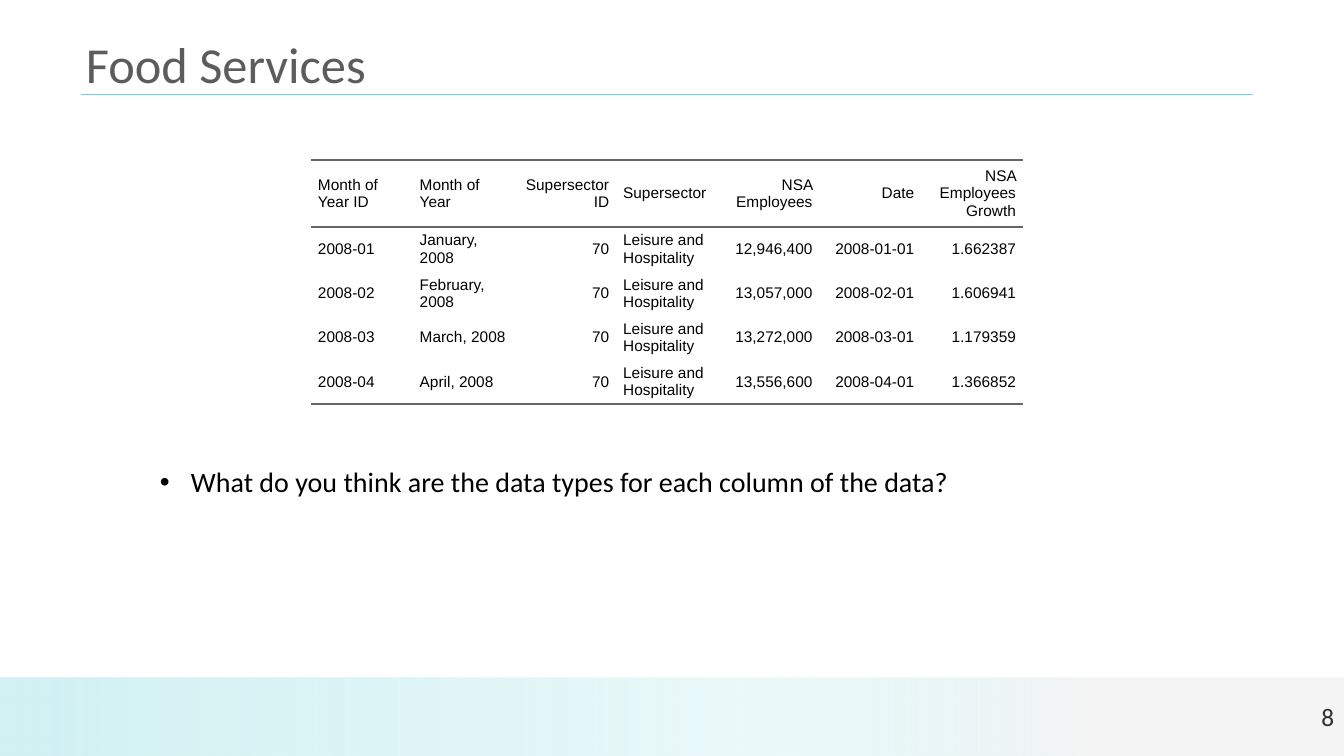
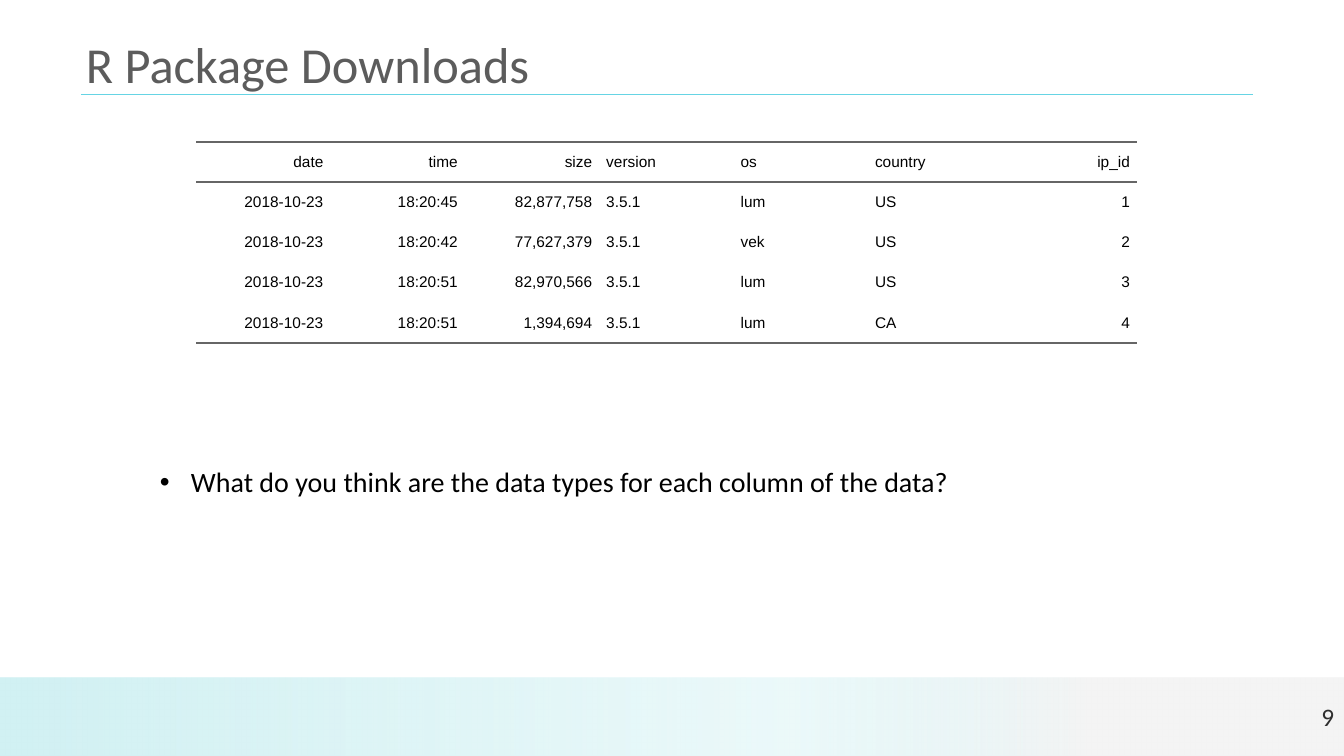
"""Build two slides that show sample data tables and ask about their data types."""
import pptx
import pptx.dml.color
import pptx.enum.shapes
import pptx.enum.text
import pptx.oxml
import pptx.oxml.ns
import pptx.util
from lxml import etree

RGBColor = pptx.dml.color.RGBColor
ALIGN = pptx.enum.text.PP_ALIGN
ANCHOR = pptx.enum.text.MSO_ANCHOR

PX = 914400 / 100.8
SLIDE_W, SLIDE_H = 1344, 756
BAND_TOP = 678
RULE_Y = 94

TITLE_GREY = RGBColor(0x5C, 0x5C, 0x5C)
NUMBER_GREY = RGBColor(0x2F, 0x2F, 0x2F)
RULE_CYAN = RGBColor(0x66, 0xD4, 0xE4)
TABLE_GREY = RGBColor(0x66, 0x66, 0x66)
BAND_CYAN = RGBColor(0xD1, 0xF1, 0xF3)
BAND_GREY = RGBColor(0xF4, 0xF4, 0xF4)
BLACK = RGBColor(0, 0, 0)

BAND_STOPS = [(0, BAND_CYAN, 100), (59, BAND_CYAN, 41), (81, BAND_GREY, 100),
              (83, BAND_GREY, 100), (92, BAND_GREY, 100), (100, BAND_GREY, 100)]
PLAIN_TABLE_STYLE = "{2D5ABB26-0587-4C30-8999-92F81FD0307C}"
QUESTION = "What do you think are the data types for each column of the data?"

FOOD_HEADER = ["Month of Year ID", "Month of Year", "Supersector ID", "Supersector",
               "NSA Employees", "Date", "NSA Employees Growth"]
FOOD_MONTHS = [
    ("2008-01", "January, 2008", "12,946,400", "1.662387"),
    ("2008-02", "February, 2008", "13,057,000", "1.606941"),
    ("2008-03", "March, 2008", "13,272,000", "1.179359"),
    ("2008-04", "April, 2008", "13,556,600", "1.366852"),
]
FOOD_ROWS = [FOOD_HEADER] + [
    [month_id, month, "70", "Leisure and Hospitality", employees, f"{month_id}-01", growth]
    for month_id, month, employees, growth in FOOD_MONTHS
]
DOWNLOAD_ROWS = [
    ["date", "time", "size", "version", "os", "country", "ip_id"],
    ["2018-10-23", "18:20:45", "82,877,758", "3.5.1", "lum", "US", "1"],
    ["2018-10-23", "18:20:42", "77,627,379", "3.5.1", "vek", "US", "2"],
    ["2018-10-23", "18:20:51", "82,970,566", "3.5.1", "lum", "US", "3"],
    ["2018-10-23", "18:20:51", "1,394,694", "3.5.1", "lum", "CA", "4"],
]


def px(length):
    """Turn pixels into EMU."""
    return pptx.util.Emu(round(length * PX))


def add_xml(parent, tag, **attributes):
    """Append a DrawingML child element."""
    return etree.SubElement(parent, pptx.oxml.ns.qn(f"a:{tag}"), attributes)


def style_paragraph(paragraph, text, font_name, size, color, align=ALIGN.LEFT):
    """Write one paragraph in a single font."""
    paragraph.text = text
    paragraph.alignment = align
    paragraph.font.name = font_name
    paragraph.font.size = pptx.util.Pt(size)
    paragraph.font.color.rgb = color


def add_text(slide, box, text, size, color, align=ALIGN.LEFT, anchor=ANCHOR.TOP):
    """Add a wrapped text box and return its paragraph."""
    frame = slide.shapes.add_textbox(*map(px, box)).text_frame
    frame.word_wrap = True
    frame.vertical_anchor = anchor
    paragraph = frame.paragraphs[0]
    style_paragraph(paragraph, text, "Calibri", size, color, align)
    return paragraph


def add_band(slide):
    """Add the gradient band along the bottom edge."""
    band = slide.shapes.add_shape(
        pptx.enum.shapes.MSO_SHAPE.RECTANGLE,
        0, px(BAND_TOP), px(SLIDE_W), px(SLIDE_H - BAND_TOP))
    band.shadow.inherit = False
    band.line.fill.background()
    band.fill.gradient()
    band.fill.gradient_angle = 0
    stops = band.fill.gradient_stops._gsLst
    for stop in list(stops):
        stops.remove(stop)
    for position, color, opacity in BAND_STOPS:
        stop = add_xml(stops, "gs", pos=str(position * 1000))
        tint = add_xml(stop, "srgbClr", val=str(color))
        if opacity < 100:
            add_xml(tint, "alpha", val=str(opacity * 1000))


def add_title_rule(slide):
    """Add the thin line under the title."""
    rule = slide.shapes.add_connector(
        pptx.enum.shapes.MSO_CONNECTOR.STRAIGHT, px(81), px(RULE_Y), px(1253), px(RULE_Y))
    rule.line.color.rgb = RULE_CYAN
    rule.line.width = pptx.util.Pt(0.5)
    add_xml(rule._element.spPr, "effectLst")
    rule._element.remove(rule._element.find(pptx.oxml.ns.qn("p:style")))


def add_question(slide):
    """Add the bulleted question."""
    question = add_text(slide, (150, 460, 1177, 109), QUESTION, 20, BLACK)
    properties = question._p.get_or_add_pPr()
    indent = px(31)
    properties.set("marL", str(indent))
    properties.set("indent", str(-indent))
    for tag, attribute in (("buFont", 'typeface="Arial"'), ("buChar", 'char="•"')):
        bullet = pptx.oxml.parse_xml(
            f'<a:{tag} {pptx.oxml.ns.nsdecls("a")} {attribute}/>')
        properties.insert_element_before(bullet, "a:tabLst", "a:defRPr", "a:extLst")


def add_borders(cell, ruled_sides):
    """Draw grey rules on the given sides of a cell and none on the others."""
    for side in ("lnL", "lnR", "lnT", "lnB"):
        ruled = side in ruled_sides
        width = pptx.util.Pt(2) if ruled else 0
        border = add_xml(cell._tc.get_or_add_tcPr(), side, w=str(width))
        if ruled:
            add_xml(add_xml(border, "solidFill"), "srgbClr", val=str(TABLE_GREY))
        else:
            add_xml(border, "noFill")


def fill_cell(cell, text, align):
    """Write a table cell with inset text and no fill."""
    cell.margin_left = cell.margin_right = cell.margin_top = cell.margin_bottom = 0
    cell.vertical_anchor = ANCHOR.MIDDLE
    cell.fill.background()
    paragraph = cell.text_frame.paragraphs[0]
    style_paragraph(paragraph, text, "Arial", 11, BLACK, align)
    paragraph.space_before = paragraph.space_after = pptx.util.Pt(5)
    for margin in ("marL", "marR"):
        paragraph._p.get_or_add_pPr().set(margin, str(px(7)))


def add_data_table(slide, box, header_height, rows, aligns):
    """Add a table ruled above and below its header and at its foot."""
    left, top, width, height = box
    table = slide.shapes.add_table(len(rows), len(aligns), *map(px, box)).table
    table.first_row = table.horz_banding = False
    table._tbl.tblPr.find(pptx.oxml.ns.qn("a:tableStyleId")).text = PLAIN_TABLE_STYLE
    last = len(rows) - 1
    ruled_sides = {0: ("lnT", "lnB"), 1: ("lnT",), last: ("lnB",)}
    for column in table.columns:
        column.width = px(width / len(aligns))
    for index, row in enumerate(table.rows):
        row.height = px((height - header_height) / last if index else header_height)
        for cell, text, align in zip(row.cells, rows[index], aligns):
            add_borders(cell, ruled_sides.get(index, ()))
            fill_cell(cell, text, ALIGN.RIGHT if align == "r" else ALIGN.LEFT)


def add_data_slide(deck, title, number):
    """Add a slide with the shared band, title, number and question."""
    slide = deck.slides.add_slide(deck.slide_layouts[6])
    add_band(slide)
    add_title_rule(slide)
    add_text(slide, (76, 28, 591, 72), title, 36, TITLE_GREY)
    add_text(slide, (1310, 696, 34, 40), str(number), 18, NUMBER_GREY,
             ALIGN.RIGHT, ANCHOR.MIDDLE)
    add_question(slide)
    return slide


def main():
    """Build and save the deck."""
    deck = pptx.Presentation()
    deck.slide_width, deck.slide_height = px(SLIDE_W), px(SLIDE_H)
    food = add_data_slide(deck, "Food Services", 8)
    add_data_table(food, (311, 160, 712, 244), 67, FOOD_ROWS, "llrlrrr")
    downloads = add_data_slide(deck, "R Package Downloads", 9)
    add_data_table(downloads, (196, 142, 941, 201), 40, DOWNLOAD_ROWS, "rrrlllr")
    deck.save("out.pptx")


if __name__ == "__main__":
    main()
